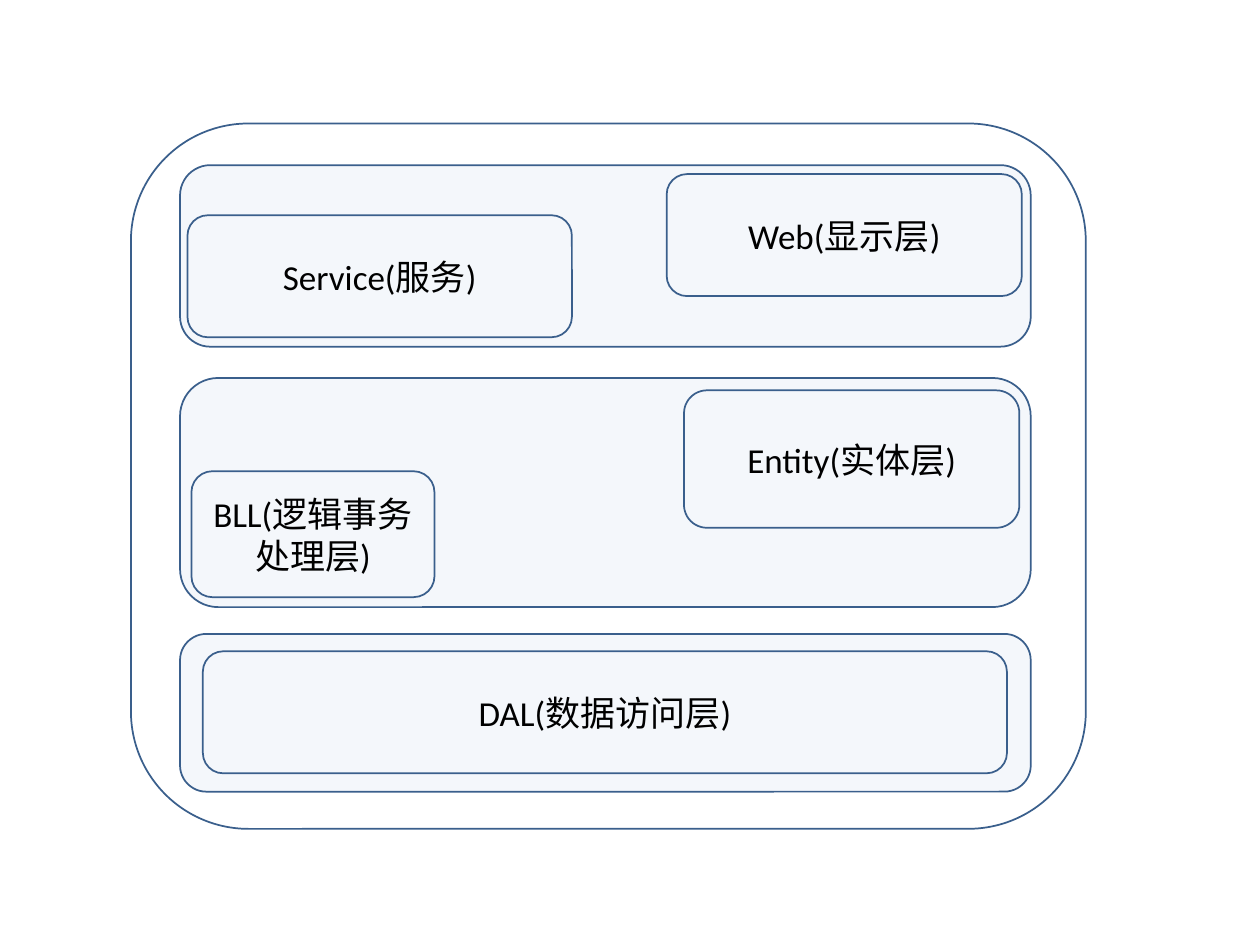
from lxml.etree import SubElement
from pptx import Presentation
from pptx.dml.color import RGBColor
from pptx.enum.shapes import MSO_SHAPE as Shape
from pptx.enum.text import MSO_ANCHOR as Anchor, PP_ALIGN as Align
from pptx.oxml.ns import qn
from pptx.util import Cm, Pt

FRAME = (2.64, 2.49, 19.25, 14.22)
LAYER_LEFT, LAYER_WIDTH = 3.63, 17.15
LAYERS = [
    (3.33, 3.66, [
        ("Web(显示层)", (13.44, 3.51, 7.16, 2.46)),
        ("Service(服务)", (3.78, 4.34, 7.75, 2.46)),
    ]),
    (7.62, 4.62, [
        ("BLL(逻辑事务处理层)", (3.86, 9.5, 4.9, 2.54)),
        ("Entity(实体层)", (13.79, 7.87, 6.76, 2.77)),
    ]),
    (12.78, 3.18, [
        ("DAL(数据访问层)", (4.09, 13.13, 16.21, 2.46)),
    ]),
]
OUTLINE, TINT, INK = "3A5F8C", "4F81BD", "000000"
TINT_ALPHA = 6


def paint(target, color):
    target.rgb = RGBColor.from_string(color)


def add_rounded(slide, area):
    rounded = slide.shapes.add_shape(Shape.ROUNDED_RECTANGLE, *map(Cm, area))
    rounded.shadow.inherit = False
    rounded.fill.background()
    paint(rounded.line.color, OUTLINE)
    rounded.line.width = Pt(1)
    return rounded


def add_layer(slide, top, height):
    layer = add_rounded(slide, (LAYER_LEFT, top, LAYER_WIDTH, height))
    layer.fill.solid()
    paint(layer.fill.fore_color, TINT)
    tint = layer.element.spPr.find(qn("a:solidFill")).find(qn("a:srgbClr"))
    SubElement(tint, qn("a:alpha"), val=str(TINT_ALPHA * 1000))


def add_component(slide, label, area):
    frame = add_rounded(slide, area).text_frame
    frame.word_wrap = True
    frame.vertical_anchor = Anchor.MIDDLE
    paragraph = frame.paragraphs[0]
    paragraph.alignment = Align.CENTER
    run = paragraph.add_run()
    run.text = label
    run.font.name = "Calibri"
    run.font.size = Pt(20)
    paint(run.font.color, INK)


def main():
    deck = Presentation()
    deck.slide_width, deck.slide_height = Cm(25.4), Cm(19.05)
    slide = deck.slides.add_slide(deck.slide_layouts[6])
    add_rounded(slide, FRAME)
    for top, height, components in LAYERS:
        add_layer(slide, top, height)
        for label, area in components:
            add_component(slide, label, area)
    deck.save("out.pptx")


if __name__ == "__main__":
    main()
